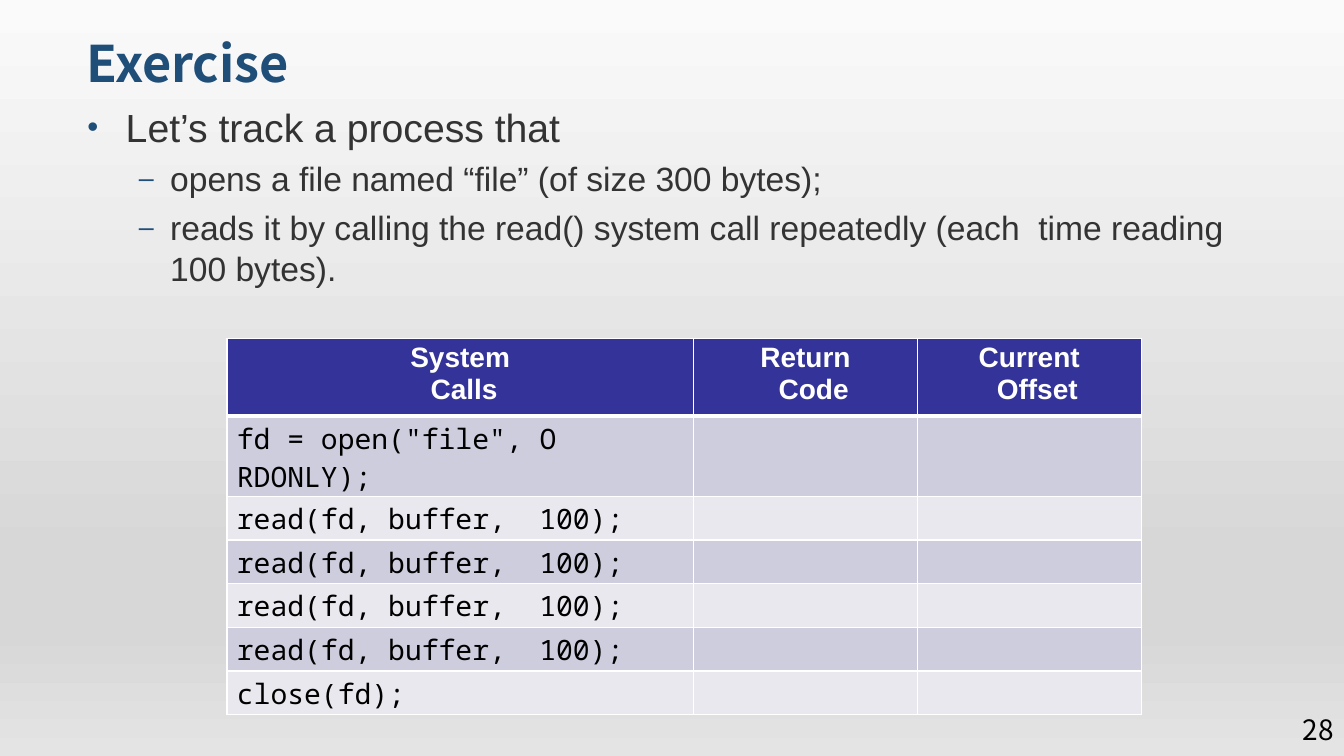
from lxml.etree import SubElement
from pptx import Presentation
from pptx.dml.color import RGBColor
from pptx.enum.text import MSO_ANCHOR, MSO_AUTO_SIZE, PP_ALIGN
from pptx.oxml import parse_xml
from pptx.oxml.ns import nsdecls, qn
from pptx.util import Cm, Pt


def paint(hue):
    return RGBColor.from_string(hue)


def write(para, text, size, face, hue, bold=False):
    run = para.add_run()
    run.text = text
    run.font.size = Pt(size)
    run.font.name = face
    run.font.bold = bold
    run.font.color.rgb = paint(hue)
    props = run.font._element
    for tag in ("a:ea", "a:cs"):
        SubElement(props, qn(tag), typeface=face)


SANS, CJK, MONO = "Arial", "Noto Sans CJK TC", "Noto Sans Mono"
NAVY, GREY, WHITE, BLACK = "1F4E79", "333333", "FFFFFF", "000000"

deck = Presentation()
deck.slide_width, deck.slide_height = Cm(33.87), Cm(19.05)
slide = deck.slides.add_slide(deck.slide_layouts[5])

back = slide.background.fill
back.gradient()
back.gradient_angle = 270
stops = slide.background._cSld.find(".//" + qn("a:gsLst"))
for stop in list(stops):
    stops.remove(stop)
for spot, hue in [(0, "FAFAFA"), (74, "D7D7D7"), (83, "D7D7D7"), (100, "E4E4E4")]:
    stop = SubElement(stops, qn("a:gs"), pos=str(spot * 1000))
    SubElement(stop, qn("a:srgbClr"), val=hue)

title = slide.shapes.title
title.left, title.top, title.width, title.height = Cm(1.93), Cm(0.53), Cm(28.73), Cm(1.96)
frame = title.text_frame
frame.auto_size = MSO_AUTO_SIZE.NONE
frame.vertical_anchor = MSO_ANCHOR.BOTTOM
para = frame.paragraphs[0]
para.alignment = PP_ALIGN.LEFT
para.line_spacing = 0.9
write(para, "Exercise", 36, CJK, NAVY, True)

points = [
    (0, "•", "Let’s track a process that"),
    (1, "–", "opens a file named “file” (of size 300 bytes);"),
    (1, "–", "reads it by calling the read() system call repeatedly (each  time reading 100 bytes)."),
]
looks = [(28, 0, 0.99, -0.97), (24, 5.2, 2.11, -0.79)]
frame = slide.shapes.add_textbox(Cm(1.93), Cm(2.45), Cm(30.61), Cm(15.72)).text_frame
frame.word_wrap = True
for i, (level, mark, text) in enumerate(points):
    size, gap, left, hang = looks[level]
    para = frame.add_paragraph() if i else frame.paragraphs[0]
    para.level = level
    para.line_spacing = 1.02
    para.space_before = Pt(gap)
    props = para._p.get_or_add_pPr()
    props.set("marL", str(Cm(left)))
    props.set("indent", str(Cm(hang)))
    SubElement(SubElement(props, qn("a:buClr")), qn("a:srgbClr"), val=NAVY)
    SubElement(props, qn("a:buSzPct"), val="80000")
    SubElement(props, qn("a:buFont"), typeface=SANS)
    SubElement(props, qn("a:buChar"), char=mark)
    write(para, text, size, SANS, GREY)

frame = slide.shapes.add_textbox(Cm(30.68), Cm(18.14), Cm(3.18), Cm(0.5)).text_frame
frame.word_wrap = True
frame.vertical_anchor = MSO_ANCHOR.MIDDLE
para = frame.paragraphs[0]
para.alignment = PP_ALIGN.RIGHT
write(para, "28", 20, CJK, BLACK)

heads = [("System Calls", 5.13, -0.51), ("Return Code", 2.14, -0.46), ("Current Offset", 2.0, -0.46)]
calls = ['fd = open("file", O RDONLY);'] + ["read(fd, buffer,\t100);"] * 4 + ["close(fd);"]
widths = [11.76, 5.64, 5.64]
heights = [1.95, 2.03] + [1.1] * 5
grid = slide.shapes.add_table(
    len(heights), len(widths), Cm(5.72), Cm(8.53), Cm(sum(widths)), Cm(sum(heights))
).table
for col, width in zip(grid.columns, widths):
    col.width = Cm(width)
for r, row in enumerate(grid.rows):
    row.height = Cm(heights[r])
    for c, cell in enumerate(row.cells):
        cell.fill.solid()
        cell.fill.fore_color.rgb = paint(("E8E8EE", "CDCDDE")[r % 2] if r else "333399")
        for i, side in enumerate("LRTB"):
            thick = 3 if (r, side) in [(0, "B"), (1, "T")] else 1
            line = parse_xml(
                f'<a:ln{side} {nsdecls("a")} w="{Pt(thick)}"><a:solidFill>'
                f'<a:srgbClr val="{WHITE}"/></a:solidFill></a:ln{side}>'
            )
            cell._tc.tcPr.insert(i, line)
        if r and c:
            continue
        cell.margin_left = cell.margin_bottom = 0
        cell.margin_right = Cm(0 if r or c else 4.3)
        cell.margin_top = Cm(0.08 if r else 0.1)
        para = cell.text_frame.paragraphs[0]
        para.space_before = Pt(2.5 if r else 3)
        text, left, hang = (calls[r - 1], 0.25, 0) if r else heads[c]
        props = para._p.get_or_add_pPr()
        props.set("marL", str(Cm(left)))
        props.set("indent", str(Cm(hang)))
        if "\t" in text:
            tabs = SubElement(props, qn("a:tabLst"))
            SubElement(tabs, qn("a:tab"), pos=str(Cm(7.11)), algn="l")
        write(para, text, 20, MONO if r else SANS, BLACK if r else WHITE, not r)

deck.save("out.pptx")
